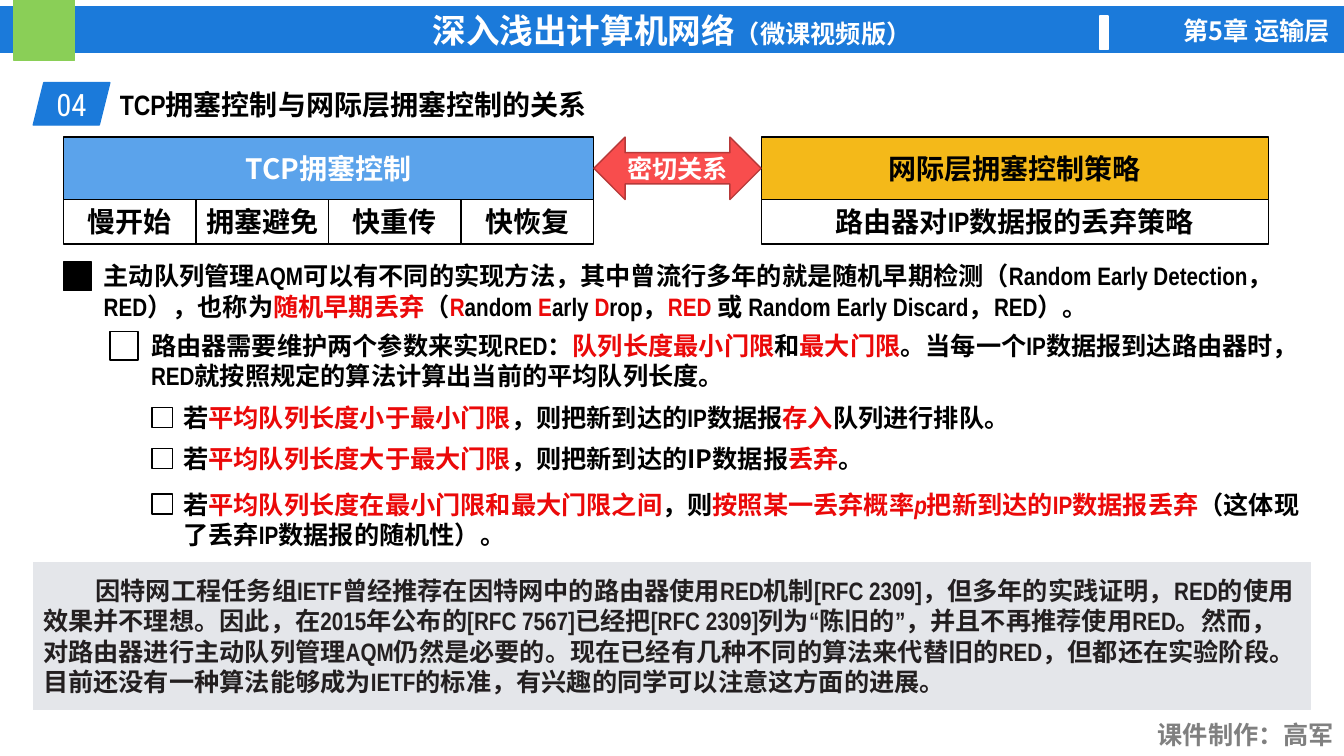
"""Build the slide on TCP and internet-layer congestion control."""
from dataclasses import dataclass

from lxml.etree import SubElement
from pptx import Presentation
from pptx.dml.color import RGBColor
from pptx.enum.shapes import MSO_SHAPE
from pptx.enum.text import MSO_ANCHOR, PP_ALIGN
from pptx.oxml.ns import qn
from pptx.util import Inches, Pt


@dataclass(frozen=True)
class Theme:
    blue: str = "1B7ADA"
    sky: str = "5BA3EB"
    green: str = "8ACF57"
    amber: str = "F4B919"
    coral: str = "F84D4D"
    coral_edge: str = "B73939"
    accent: str = "EB0909"
    panel: str = "E4E6EA"
    ink: str = "231F20"
    grey: str = "808080"
    black: str = "000000"
    white: str = "FFFFFF"
    narrow: str = "Arial Narrow"
    sans: str = "Noto Sans CJK SC"
    condensed: str = "Roboto Condensed"
    banner: int = 24
    number: int = 22
    heading: int = 20
    body: int = 18


class Board:
    """Draw elements on one slide, placed in columns and rows of a tenth of an inch."""

    unit = Inches(0.1)

    def __init__(self, slide, theme):
        self.slide = slide
        self.theme = theme

    def place(self, area):
        return [round(cells * self.unit) for cells in area]

    def typeset(self, owner, text, size, color, font=None, bold=True,
                align=PP_ALIGN.LEFT, anchor=MSO_ANCHOR.MIDDLE, indent=0, inset=1):
        frame = owner.text_frame
        frame.word_wrap = True
        frame.vertical_anchor = anchor
        frame.margin_left = frame.margin_right = round(inset * self.unit)
        frame.margin_top = frame.margin_bottom = round(inset * self.unit / 2)
        paragraph = frame.paragraphs[0]
        paragraph.alignment = align
        properties = paragraph._p.get_or_add_pPr()
        if indent:
            properties.set("indent", str(round(indent * self.unit)))
        typeface = font or self.theme.narrow
        paragraph.font.size = Pt(size)
        paragraph.font.bold = bold
        paragraph.font.color.rgb = RGBColor.from_string(color)
        paragraph.font.name = typeface
        SubElement(properties.find(qn("a:defRPr")), qn("a:ea"), typeface=typeface)
        for order, part in enumerate(text.split("|")):
            for depth, piece in enumerate(part.split("~")):
                if not piece:
                    continue
                run = paragraph.add_run()
                run.text = piece
                if order % 2:
                    run.font.color.rgb = RGBColor.from_string(self.theme.accent)
                if depth % 2:
                    run.font.italic = True
        return paragraph

    def block(self, area, fill=None, line=None, kind=MSO_SHAPE.RECTANGLE):
        block = self.slide.shapes.add_shape(kind, *self.place(area))
        block.shadow.inherit = False
        if fill:
            block.fill.solid()
            block.fill.fore_color.rgb = RGBColor.from_string(fill)
        else:
            block.fill.background()
        block.line.color.rgb = RGBColor.from_string(line or fill)
        block.line.width = Pt(1)
        return block

    def label(self, area, text, fill, line, color, size=None,
              kind=MSO_SHAPE.RECTANGLE, **style):
        return self.typeset(self.block(area, fill, line, kind), text,
                            size or self.theme.heading, color,
                            align=PP_ALIGN.CENTER, inset=0, **style)

    def text(self, area, text, color=None, size=None, **style):
        holder = self.slide.shapes.add_textbox(*self.place(area))
        return self.typeset(holder, text, size or self.theme.body,
                            color or self.theme.black, **style)

    def point(self, marker, area, text, fill=None, **style):
        self.block(marker, fill, self.theme.black)
        self.text(area, text, **style)


def draw_frame(board):
    theme = board.theme
    banner = board.label((0, 0.7, 133.3, 4.5), "深入浅出计算机网络",
                         theme.blue, theme.blue, theme.white, theme.banner)
    edition = banner.add_run()
    edition.text = "（微课视频版）"
    edition.font.size = Pt(theme.body)
    board.block((1.4, 0, 6, 6), theme.green)
    board.block((109.1, 1.6, 0.8, 3.3), theme.white)
    board.text((111.1, 1, 21.8, 4), "第5章 运输层", theme.white, font=theme.sans,
               align=PP_ALIGN.RIGHT, anchor=MSO_ANCHOR.TOP)
    board.text((113.4, 70.9, 19.9, 4), "课件制作：高军", theme.grey,
               align=PP_ALIGN.RIGHT, anchor=MSO_ANCHOR.TOP)
    board.label((3.3, 8.2, 7.6, 4.2), "04", theme.blue, theme.blue, theme.white,
                theme.number, MSO_SHAPE.PARALLELOGRAM, font=theme.condensed, bold=False)
    board.text((10.9, 8.2, 60.1, 4.4), "TCP拥塞控制与网际层拥塞控制的关系",
               size=theme.heading, anchor=MSO_ANCHOR.TOP)


def draw_relation(board):
    theme = board.theme
    left, top, width, head, foot = 6.3, 13.6, 52.6, 6.2, 4.4
    policy_left, policy_width = 75.5, 50.3
    methods = ("慢开始", "拥塞避免", "快重传", "快恢复")
    step = width / len(methods)
    board.label((policy_left, top + head, policy_width, foot),
                "路由器对IP数据报的丢弃策略", theme.white, theme.black, theme.black)
    for column, method in enumerate(methods):
        board.label((left + column * step, top + head, step, foot), method,
                    theme.white, theme.black, theme.black)
    board.label((policy_left, top, policy_width, head), "网际层拥塞控制策略",
                theme.amber, theme.black, theme.black, font=theme.sans)
    board.label((left, top, width, head), "TCP拥塞控制",
                theme.sky, theme.black, theme.white, font=theme.sans)
    board.label((left + width, top, policy_left - left - width, head), "密切关系",
                theme.coral, theme.coral_edge, theme.white, theme.body,
                MSO_SHAPE.LEFT_RIGHT_ARROW)


def draw_points(board):
    theme = board.theme
    board.point((6.3, 26, 2.8, 2.8), (9.3, 25.1, 121.2, 7.5),
                "主动队列管理AQM可以有不同的实现方法，其中曾流行多年的就是随机早期检测"
                "（Random Early Detection，RED），也称为|随机早期丢弃|（|R|andom |E|arly "
                "|D|rop，|RED |或 Random Early Discard，RED）。", theme.black)
    board.point((10.9, 32.9, 2.8, 2.8), (14, 32, 116, 7.5),
                "路由器需要维护两个参数来实现RED：|队列长度最小门限|和|最大门限|。"
                "当每一个IP数据报到达路由器时，RED就按照规定的算法计算出当前的平均队列长度。")
    cases = (
        (40.4, 39.7, 3.4, theme.narrow,
         "若|平均队列长度小于最小门限|，则把新到达的IP数据报|存入|队列进行排队。"),
        (44.5, 43.8, 3.4, theme.sans,
         "若|平均队列长度大于最大门限|，则把新到达的IP数据报|丢弃|。"),
        (49, 48.2, 6.6, theme.narrow,
         "若|平均队列长度在最小门限和最大门限之间|，则|按照某一丢弃概率~p~"
         "把新到达的IP数据报丢弃|（这体现了丢弃IP数据报的随机性）。"),
    )
    for marker_top, top, height, font, case in cases:
        board.point((15.1, marker_top, 2, 2), (17.2, top, 112.8, height), case, font=font)


def draw_remark(board):
    theme = board.theme
    board.typeset(board.block((3.3, 55.8, 126.7, 14.6), theme.panel),
                  "因特网工程任务组IETF曾经推荐在因特网中的路由器使用RED机制[RFC 2309]，"
                  "但多年的实践证明，RED的使用效果并不理想。因此，在2015年公布的[RFC 7567]"
                  "已经把[RFC 2309]列为“陈旧的”，并且不再推荐使用RED。然而，对路由器进行"
                  "主动队列管理AQM仍然是必要的。现在已经有几种不同的算法来代替旧的RED，"
                  "但都还在实验阶段。目前还没有一种算法能够成为IETF的标准，"
                  "有兴趣的同学可以注意这方面的进展。", theme.body, theme.ink, indent=5.2)


def main():
    deck = Presentation()
    deck.slide_width, deck.slide_height = Inches(13.33), Inches(7.5)
    board = Board(deck.slides.add_slide(deck.slide_layouts[6]), Theme())
    draw_frame(board)
    draw_relation(board)
    draw_points(board)
    draw_remark(board)
    deck.save("out.pptx")


if __name__ == "__main__":
    main()
